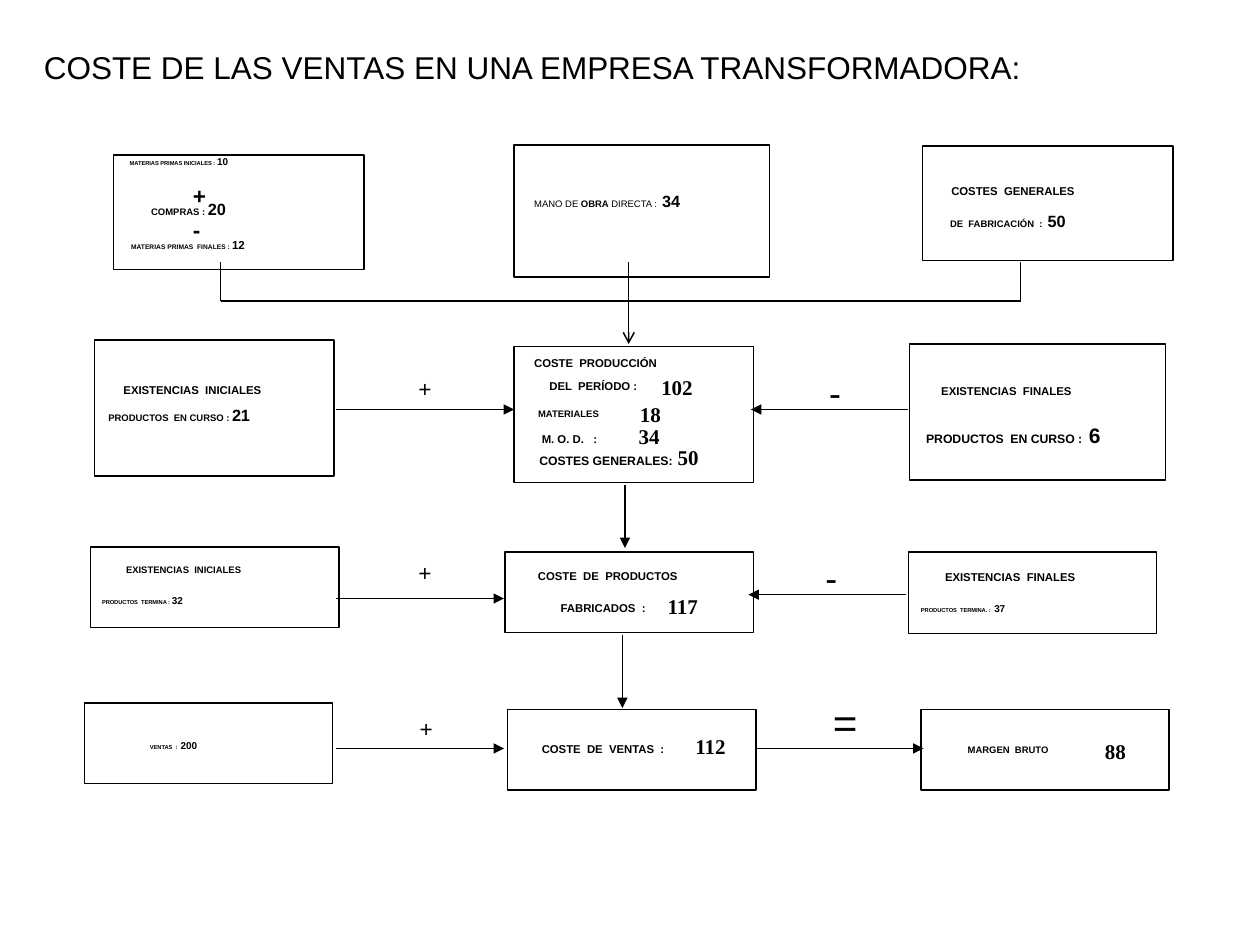
from typing import NamedTuple

from lxml.etree import SubElement
from pptx import Presentation
from pptx.dml.color import RGBColor
from pptx.enum.shapes import MSO_CONNECTOR, MSO_SHAPE
from pptx.enum.text import MSO_AUTO_SIZE, PP_ALIGN
from pptx.oxml.ns import qn
from pptx.util import Inches, Pt

BLACK = RGBColor(0x00, 0x00, 0x00)
SANS = "Arial"
SERIF = "Times New Roman"
BOX_LINE = 0.85
ARROW_LINE = 0.74


class Span(NamedTuple):
    text: str
    size: float
    bold: bool = True


class Frame(NamedTuple):
    left: float
    top: float
    width: float
    height: float


class Label(NamedTuple):
    left: float
    top: float
    width: float
    height: float
    spacing: float
    spans: list[Span]


class Operator(NamedTuple):
    left: float
    top: float
    side: float
    sign: str
    size: float
    bold: bool = False


class Total(NamedTuple):
    left: float
    top: float
    width: float
    value: str


class Link(NamedTuple):
    start: tuple[float, float]
    end: tuple[float, float]
    width: float = ARROW_LINE
    head: str = "triangle"


FRAMES = [
    Frame(0.9, 1.23, 1.99, 0.91),
    Frame(4.08, 1.15, 2.03, 1.05),
    Frame(7.32, 1.16, 1.99, 0.91),
    Frame(0.75, 2.7, 1.9, 1.08),
    Frame(4.08, 2.75, 1.9, 1.08),
    Frame(7.22, 2.73, 2.03, 1.08),
    Frame(0.72, 4.34, 1.97, 0.64),
    Frame(4.01, 4.38, 1.97, 0.64),
    Frame(7.21, 4.38, 1.97, 0.65),
    Frame(0.67, 5.58, 1.97, 0.64),
    Frame(4.03, 5.63, 1.97, 0.64),
    Frame(7.31, 5.63, 1.97, 0.64),
]

LABELS = [
    Label(1.03, 1.25, 2.17, 0.1, 0.8, [Span("MATERIAS PRIMAS INICIALES : ", 3.3), Span("10", 5.7)]),
    Label(1.2, 1.61, 1.26, 0.16, 0.8, [Span("COMPRAS : ", 5.4), Span("20", 9.3)]),
    Label(1.04, 1.91, 1.87, 0.13, 0.8, [Span("MATERIAS PRIMAS  FINALES : ", 3.8), Span("12", 6.6)]),
    Label(4.24, 1.55, 1.87, 0.16, 0.8, [
        Span("MANO DE ", 5.4, False), Span("OBRA", 5.4),
        Span(" DIRECTA :  ", 5.4, False), Span("34", 9.3)]),
    Label(7.55, 1.47, 1.06, 0.11, 0.9, [Span("COSTES  GENERALES", 6.5)]),
    Label(7.54, 1.71, 1.48, 0.15, 0.8, [Span("DE  FABRICACIÓN  :  ", 5.4), Span("50", 9.3)]),
    Label(0.98, 3.05, 1.52, 0.1, 0.9, [Span("EXISTENCIAS  INICIALES", 6.5)]),
    Label(0.86, 3.25, 1.63, 0.16, 0.8, [Span("PRODUCTOS  EN CURSO : ", 5.4), Span("21", 9.3)]),
    Label(4.24, 2.84, 1.1, 0.11, 0.9, [Span("COSTE  PRODUCCIÓN  ", 6.5)]),
    Label(4.36, 3.02, 0.91, 0.11, 0.9, [Span("DEL  PERÍODO : ", 6.5)]),
    Label(4.27, 3.26, 0.69, 0.1, 0.8, [Span("MATERIALES", 5.4)]),
    Label(4.3, 3.44, 0.59, 0.11, 0.9, [Span("M. O. D.   :", 6.5)]),
    Label(4.28, 3.6, 1.08, 0.13, 1.0, [Span("COSTES GENERALES: ", 7)]),
    Label(7.47, 3.06, 1.18, 0.11, 0.9, [Span("EXISTENCIAS  FINALES", 6.5)]),
    Label(7.35, 3.35, 1.69, 0.26, 1.0, [Span("PRODUCTOS  EN CURSO :  ", 7), Span("6", 12)]),
    Label(1.0, 4.49, 1.52, 0.1, 0.8, [Span("EXISTENCIAS  INICIALES", 5.4)]),
    Label(0.81, 4.74, 1.52, 0.12, 0.8, [Span("PRODUCTOS  TERMINA : ", 3.3), Span("32", 5.7)]),
    Label(4.27, 4.53, 1.2, 0.12, 0.9, [Span("COSTE  DE  PRODUCTOS", 6.5)]),
    Label(4.45, 4.78, 0.9, 0.12, 0.9, [Span("FABRICADOS  :  ", 6.5)]),
    Label(7.5, 4.54, 1.11, 0.11, 0.9, [Span("EXISTENCIAS  FINALES", 6.5)]),
    Label(7.31, 4.8, 1.54, 0.11, 0.8, [Span("PRODUCTOS  TERMINA. :  ", 3.3), Span("37", 5.7)]),
    Label(1.19, 5.89, 1.08, 0.11, 0.8, [Span("VENTAS  :  ", 3.3), Span("200", 5.7)]),
    Label(4.3, 5.9, 1.19, 0.11, 0.9, [Span("COSTE  DE  VENTAS  : ", 6.5)]),
    Label(7.68, 5.92, 0.98, 0.1, 0.8, [Span("MARGEN  BRUTO", 5.4)]),
]

OPERATORS = [
    Operator(1.53, 1.47, 0.25, "+", 12.9, True),
    Operator(1.53, 1.74, 0.25, "-", 12.9, True),
    Operator(3.32, 3.0, 0.25, "+", 12.9),
    Operator(3.32, 4.46, 0.25, "+", 12.9),
    Operator(3.33, 5.7, 0.25, "+", 12.9),
    Operator(6.58, 2.98, 0.34, "-", 20.4),
    Operator(6.55, 4.45, 0.34, "-", 20.4),
    Operator(6.61, 5.57, 0.45, "=", 24.1),
]

TOTALS = [
    Total(5.15, 2.92, 0.46, "102"),
    Total(4.98, 3.14, 0.38, "18"),
    Total(4.97, 3.31, 0.38, "34"),
    Total(5.28, 3.48, 0.38, "50"),
    Total(5.2, 4.66, 0.46, "117"),
    Total(5.42, 5.77, 0.46, "112"),
    Total(8.67, 5.81, 0.38, "88"),
]

LINKS = [
    Link((1.75, 2.08), (1.75, 2.39), BOX_LINE, ""),
    Link((1.75, 2.39), (8.1, 2.39), BOX_LINE, ""),
    Link((8.1, 2.39), (8.1, 2.08), BOX_LINE, ""),
    Link((4.99, 2.08), (4.99, 2.73), BOX_LINE, "arrow"),
    Link((2.67, 3.25), (4.08, 3.25)),
    Link((7.21, 3.25), (5.96, 3.25)),
    Link((4.96, 3.85), (4.96, 4.35)),
    Link((2.67, 4.75), (4.0, 4.75)),
    Link((7.19, 4.72), (5.94, 4.72)),
    Link((4.94, 5.04), (4.94, 5.62)),
    Link((2.67, 5.94), (4.0, 5.94)),
    Link((5.99, 5.94), (7.33, 5.94)),
]


def add_frame(page, frame: Frame) -> None:
    box = page.shapes.add_shape(MSO_SHAPE.RECTANGLE, *map(Inches, frame))
    box.shadow.inherit = False
    box.fill.background()
    box.line.color.rgb = BLACK
    box.line.width = Pt(BOX_LINE)


def add_text(page, frame: Frame, spans: list[Span], font: str = SANS, spacing: float = 1.0,
             inset: tuple[float, float] = (0, 0), wrap: bool = True, grow: bool = False,
             alignment: PP_ALIGN = PP_ALIGN.LEFT) -> None:
    text_frame = page.shapes.add_textbox(*map(Inches, frame)).text_frame
    text_frame.margin_left = text_frame.margin_right = Inches(inset[0])
    text_frame.margin_top = text_frame.margin_bottom = Inches(inset[1])
    text_frame.word_wrap = wrap
    text_frame.auto_size = MSO_AUTO_SIZE.SHAPE_TO_FIT_TEXT if grow else MSO_AUTO_SIZE.NONE
    para = text_frame.paragraphs[0]
    para.alignment = alignment
    para.line_spacing = spacing
    for span in spans:
        run = para.add_run()
        run.text = span.text
        run.font.name = font
        run.font.size = Pt(span.size)
        run.font.bold = span.bold
        run.font.color.rgb = BLACK


def add_link(page, link: Link) -> None:
    connector = page.shapes.add_connector(
        MSO_CONNECTOR.STRAIGHT, *map(Inches, link.start + link.end))
    connector.line.color.rgb = BLACK
    connector.line.width = Pt(link.width)
    properties = connector._element.spPr
    if link.head:
        SubElement(properties.find(qn("a:ln")), qn("a:tailEnd"), type=link.head)
    SubElement(properties, qn("a:effectLst"))


deck = Presentation()
deck.slide_width, deck.slide_height = Inches(10), Inches(7.5)
page = deck.slides.add_slide(deck.slide_layouts[6])

add_text(page, Frame(0.25, 0.33, 8.17, 0.4),
         [Span("COSTE DE LAS VENTAS EN UNA EMPRESA TRANSFORMADORA:", 18, False)],
         inset=(0.1, 0.05), grow=True, alignment=PP_ALIGN.JUSTIFY)
for frame in FRAMES:
    add_frame(page, frame)
for link in LINKS:
    add_link(page, link)
for label in LABELS:
    add_text(page, Frame(*label[:4]), label.spans, spacing=label.spacing)
for mark in OPERATORS:
    add_text(page, Frame(mark.left, mark.top, mark.side, mark.side),
             [Span(mark.sign, mark.size, mark.bold)], spacing=0.9)
for total in TOTALS:
    add_text(page, Frame(total.left, total.top, total.width, 0.3), [Span(total.value, 12)],
             font=SERIF, inset=(0.1, 0.05), wrap=False, grow=True)

deck.save("out.pptx")
